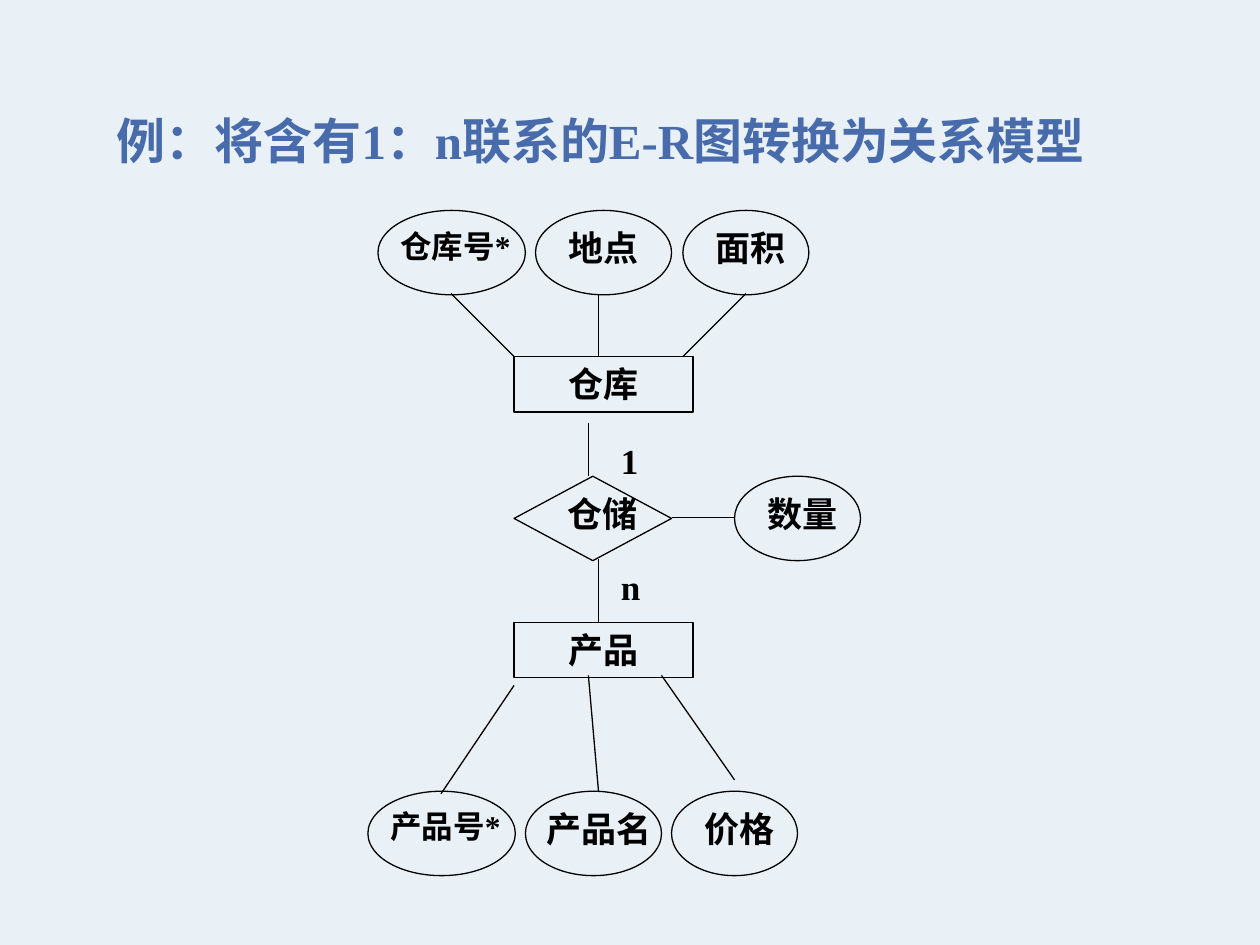
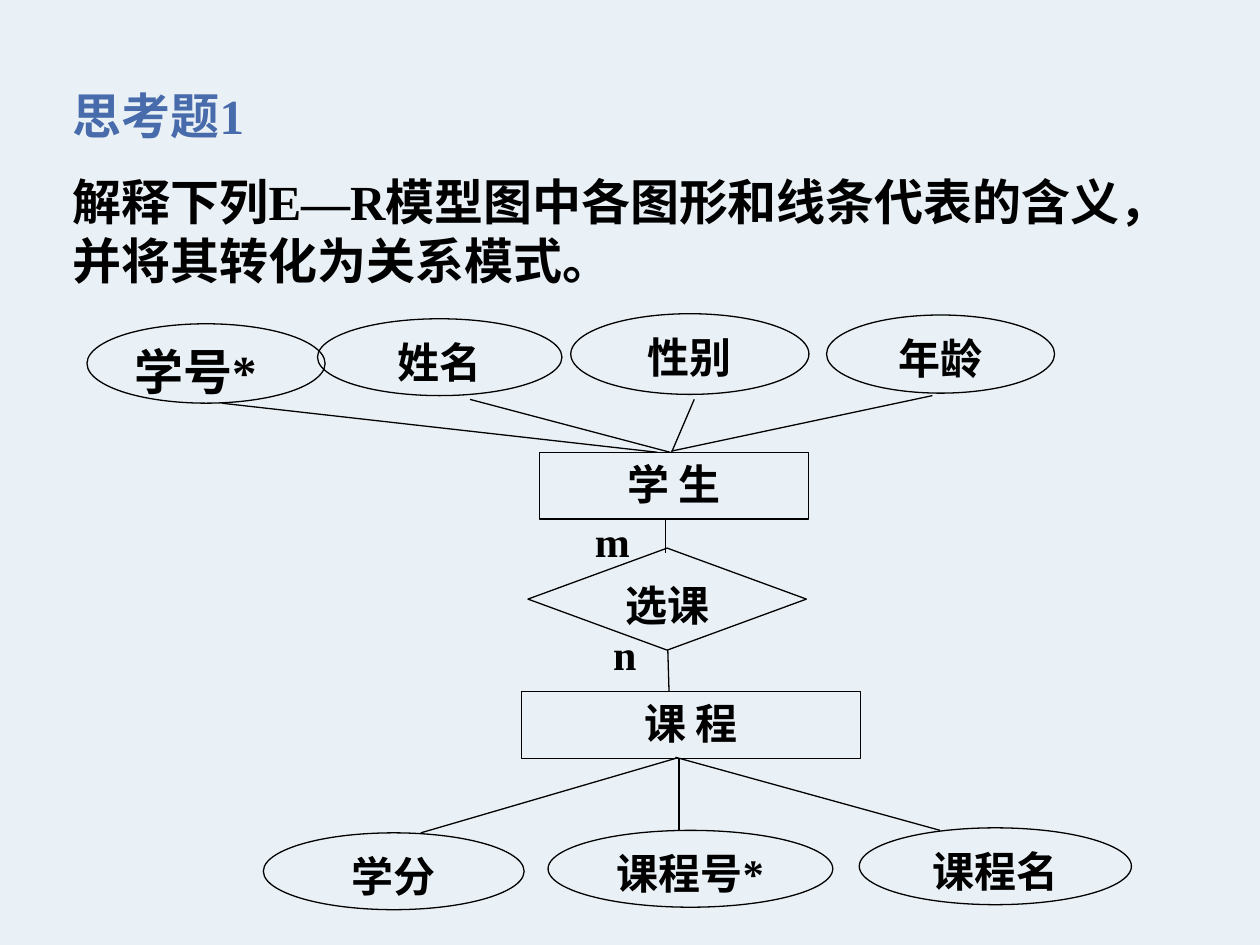
"""Build two slides with entity-relationship diagrams."""
from dataclasses import dataclass

from lxml.etree import SubElement
from pptx import Presentation
from pptx.dml.color import RGBColor
from pptx.enum.shapes import MSO_CONNECTOR, MSO_SHAPE
from pptx.enum.text import MSO_ANCHOR, PP_ALIGN
from pptx.oxml.ns import qn
from pptx.util import Inches, Pt


@dataclass(frozen=True)
class Theme:
    """Colours, font and sizes shared by the slides."""
    background: RGBColor = RGBColor(0xEA, 0xF1, 0xF6)
    accent: RGBColor = RGBColor(0x47, 0x6B, 0xAB)
    ink: RGBColor = RGBColor(0, 0, 0)
    font: str = "Times New Roman"
    heading: int = 28
    large: int = 24
    medium: int = 20
    small: int = 18
    line: float = 0.75


THEME = Theme()


def new_slide(prs):
    """Add a blank slide with the shared background."""
    s = prs.slides.add_slide(prs.slide_layouts[6])
    s.background.fill.solid()
    s.background.fill.fore_color.rgb = THEME.background
    return s


def write(sp, text, size, align=PP_ALIGN.CENTER, color=THEME.ink):
    """Write bold text at the top of a shape."""
    tf = sp.text_frame
    tf.word_wrap = True
    tf.vertical_anchor = MSO_ANCHOR.TOP
    tf.text = text
    p = tf.paragraphs[0]
    p.alignment = align
    for r in p.runs:
        r.font.name = THEME.font
        r.font.size = Pt(size)
        r.font.bold = True
        r.font.color.rgb = color


def add_text(s, box, text, size, align=PP_ALIGN.CENTER, color=THEME.ink):
    """Add a text box."""
    sp = s.shapes.add_textbox(*map(Inches, box))
    write(sp, text, size, align, color)


def add_heading(s, box, text, color=THEME.accent):
    """Add a left-aligned heading."""
    add_text(s, box, text, THEME.heading, PP_ALIGN.LEFT, color)


def add_node(s, kind, box, text="", size=THEME.large, align=PP_ALIGN.CENTER):
    """Add an outlined diagram node, with text if given."""
    sp = s.shapes.add_shape(kind, *map(Inches, box))
    sp.shadow.inherit = False
    sp.fill.background()
    sp.line.color.rgb = THEME.ink
    sp.line.width = Pt(THEME.line)
    if text:
        write(sp, text, size, align)


def add_links(s, links):
    """Draw straight lines given as x1, y1, x2, y2."""
    for link in links:
        c = s.shapes.add_connector(MSO_CONNECTOR.STRAIGHT, *map(Inches, link))
        c.line.color.rgb = THEME.ink
        c.line.width = Pt(THEME.line)
        SubElement(c._element.spPr, qn("a:effectLst"))


def add_attribute(s, top, text, left, width, text_left, text_width):
    """Add an ellipse with a separate label; key labels are smaller."""
    is_key = text.endswith("*")
    size = THEME.small if is_key else THEME.medium
    align = PP_ALIGN.LEFT if is_key else PP_ALIGN.CENTER
    add_text(s, (text_left, top + 0.08, text_width, 0.44), text, size, align)
    add_node(s, MSO_SHAPE.OVAL, (left, top, width, 0.67))


def build_warehouse(prs):
    """Build the one-to-many example."""
    s = new_slide(prs)
    add_heading(s, (0.83, 0.83, 8.17, 0.57), "例：将含有1：n联系的E-R图转换为关系模型")
    for top, text in ((2.83, "仓库"), (4.94, "产品")):
        add_node(s, MSO_SHAPE.RECTANGLE, (4.08, top, 1.42, 0.44), text, THEME.medium)
    attributes = (
        (1.67, "仓库号*", 3, 1.17, 3.08, 1.25),
        (1.67, "地点", 4.25, 1.08, 4.33, 0.92),
        (1.67, "面积", 5.42, 1, 5.42, 1.08),
        (3.78, "数量", 5.83, 1, 5.83, 1.08),
        (6.28, "产品号*", 2.92, 1.17, 3, 1.25),
        (6.28, "产品名", 4.17, 1.08, 4.17, 1.17),
        (6.28, "价格", 5.33, 1, 5.33, 1.08),
    )
    for attribute in attributes:
        add_attribute(s, *attribute)
    add_node(s, MSO_SHAPE.FLOWCHART_DECISION, (4.08, 3.78, 1.25, 0.67))
    add_text(s, (4.25, 3.86, 1.06, 0.44), "仓储", THEME.medium)
    for top, text in ((3.44, "1"), (4.44, "n")):
        add_text(s, (4.83, top, 0.42, 0.44), text, THEME.medium, PP_ALIGN.LEFT)
    add_links(s, (
        (3.58, 2.33, 4.08, 2.83), (4.75, 2.33, 4.75, 2.83), (5.92, 2.33, 5.42, 2.83),
        (4.67, 3.36, 4.67, 3.78), (5.33, 4.11, 5.83, 4.11), (4.75, 4.44, 4.75, 4.94),
        (4.08, 5.44, 3.5, 6.3), (4.67, 5.36, 4.75, 6.28), (5.25, 5.36, 5.83, 6.19),
    ))


def build_course(prs):
    """Build the many-to-many exercise."""
    s = new_slide(prs)
    add_heading(s, (0.48, 0.63, 4.92, 0.57), "思考题1")
    add_heading(s, (0.48, 1.31, 9.05, 1.04),
                "解释下列E—R模型图中各图形和线条代表的含义，并将其转化为关系模式。", THEME.ink)
    for left, top, text in ((4.43, 4.04, "m"), (4.53, 4.94, "n")):
        add_text(s, (left, top, 0.86, 0.5), text, THEME.large)
    add_node(s, MSO_SHAPE.RECTANGLE, (4.28, 3.59, 2.14, 0.53), "学 生")
    add_node(s, MSO_SHAPE.RECTANGLE, (4.14, 5.49, 2.69, 0.53), "课 程")
    add_node(s, MSO_SHAPE.DIAMOND, (4.19, 4.35, 2.21, 0.81), "选课")
    add_node(s, MSO_SHAPE.OVAL, (0.69, 2.57, 1.89, 0.63), "学号*",
             THEME.heading, PP_ALIGN.LEFT)
    attributes = (
        ("姓名", 2.52, 2.53, 1.94, 0.61),
        ("性别", 4.53, 2.49, 1.89, 0.64),
        ("年龄", 6.56, 2.5, 1.81, 0.62),
        ("学分", 2.09, 6.61, 2.07, 0.61),
        ("课程号*", 4.35, 6.59, 2.26, 0.61),
        ("课程名", 6.82, 6.57, 2.16, 0.61),
    )
    for text, *box in attributes:
        add_node(s, MSO_SHAPE.OVAL, box, text)
    add_links(s, (
        (1.76, 3.2, 5.22, 3.59), (3.73, 3.17, 5.32, 3.59),
        (5.33, 3.59, 5.51, 3.17), (7.4, 3.14, 5.33, 3.58),
        (5.28, 4.13, 5.28, 4.39), (5.3, 5.16, 5.31, 5.49),
        (5.36, 6.02, 3.34, 6.61), (5.39, 6.02, 5.39, 6.59), (5.36, 6.01, 7.46, 6.59),
    ))


def main():
    """Build and save the presentation."""
    prs = Presentation()
    prs.slide_width = Inches(10)
    prs.slide_height = Inches(7.5)
    build_warehouse(prs)
    build_course(prs)
    prs.save("out.pptx")


if __name__ == "__main__":
    main()
